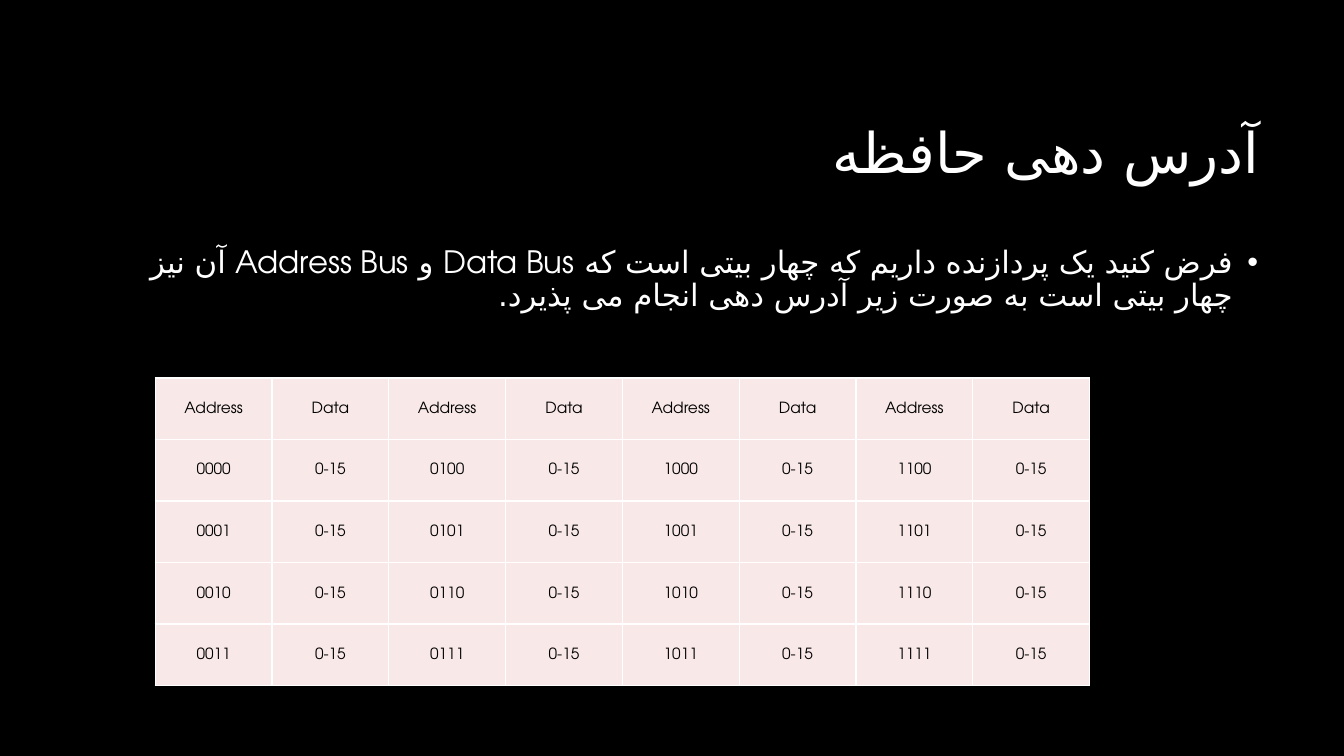
from dataclasses import dataclass
from typing import Any

from lxml import etree
from pptx import Presentation
from pptx import util as u
from pptx.dml.color import RGBColor
from pptx.enum import text
from pptx.oxml import ns

BLACK = RGBColor(0x00, 0x00, 0x00)
WHITE = RGBColor(0xFF, 0xFF, 0xFF)
PALE_PINK = RGBColor(0xF9, 0xE8, 0xE8)
FONT = "TeX Gyre Adventor"
PERSIAN_FONT = "DejaVu Sans"

ADDRESS_BITS = 4
GROUPS = 4
ADDRESSES_PER_GROUP = 2 ** ADDRESS_BITS // GROUPS
COLUMN_WIDTH = u.Pt(83.43)
ROW_HEIGHT = u.Pt(43.95)
CELL_FORMAT = {
    "vertical_anchor": text.MSO_ANCHOR.MIDDLE,
    "margin_left": u.Pt(0.72),
    "margin_right": u.Pt(0.72),
    "margin_top": u.Pt(0.72),
    "margin_bottom": u.Pt(0),
}


@dataclass(frozen=True)
class TextBlock:
    wording: str
    left: float
    top: float
    width: float
    height: float
    size: float
    anchor: text.MSO_ANCHOR
    space_before: float = 0
    bulleted: bool = False


TEXT_BLOCKS = [
    TextBlock("آدرس دهی حافظه", 228.24, 60.48, 678.24, 101.52, 40,
              text.MSO_ANCHOR.MIDDLE),
    TextBlock("فرض کنید یک پردازنده داریم که چهار بیتی است که Data Bus و "
              "Address Bus آن نیز چهار بیتی است به صورت زیر آدرس دهی انجام "
              "می پذیرد.", 54, 172.8, 851.76, 316.8, 22,
              text.MSO_ANCHOR.TOP, space_before=10, bulleted=True),
]


def apply_format(target: Any, values: dict[str, Any]) -> None:
    for attribute, value in values.items():
        setattr(target, attribute, value)


def write_run(paragraph: Any, wording: str, size: float, color: RGBColor) -> None:
    run = paragraph.add_run()
    run.text = wording
    apply_format(run.font, {"name": FONT, "size": u.Pt(size)})
    run.font.color.rgb = color
    # Persian letters take their typeface from the complex-script font
    etree.SubElement(run.font._element, ns.qn("a:cs"), typeface=PERSIAN_FONT)


def make_rtl_bullet(paragraph: Any) -> None:
    properties = paragraph._p.get_or_add_pPr()
    hanging = u.Pt(18)
    for name, value in {"marL": hanging, "indent": -hanging, "rtl": 1}.items():
        properties.set(name, str(int(value)))
    etree.SubElement(properties, ns.qn("a:buFont"), typeface="Arial")
    etree.SubElement(properties, ns.qn("a:buChar"), char="•")


def draw_text(slide: Any, block: TextBlock) -> None:
    box = slide.shapes.add_textbox(u.Pt(block.left), u.Pt(block.top),
                                   u.Pt(block.width), u.Pt(block.height))
    apply_format(box.text_frame, {"word_wrap": True,
                                  "vertical_anchor": block.anchor})
    paragraph = box.text_frame.paragraphs[0]
    apply_format(paragraph, {"alignment": text.PP_ALIGN.RIGHT,
                             "line_spacing": 0.9,
                             "space_before": u.Pt(block.space_before)})
    if block.bulleted:
        make_rtl_bullet(paragraph)
    write_run(paragraph, block.wording, block.size, WHITE)


def add_borders(cell: Any) -> None:
    properties = cell._tc.get_or_add_tcPr()
    for side in ("lnL", "lnR", "lnT", "lnB"):
        line = etree.SubElement(properties, ns.qn(f"a:{side}"), w=str(u.Pt(1)))
        fill = etree.SubElement(line, ns.qn("a:solidFill"))
        etree.SubElement(fill, ns.qn("a:srgbClr"), val=str(WHITE))


def draw_cell(cell: Any, wording: str) -> None:
    apply_format(cell, CELL_FORMAT)
    add_borders(cell)
    cell.fill.solid()
    cell.fill.fore_color.rgb = PALE_PINK
    paragraph = cell.text_frame.paragraphs[0]
    paragraph.alignment = text.PP_ALIGN.CENTER
    write_run(paragraph, wording, 11, BLACK)


def memory_rows() -> list[list[str]]:
    """Header plus one row per offset, with an address and data pair per group."""
    rows = [["Address", "Data"] * GROUPS]
    for offset in range(ADDRESSES_PER_GROUP):
        row = []
        for group in range(GROUPS):
            address = group * ADDRESSES_PER_GROUP + offset
            row += [f"{address:0{ADDRESS_BITS}b}", "0-15"]
        rows.append(row)
    return rows


def draw_memory_table(slide: Any) -> None:
    rows = memory_rows()
    column_count = len(rows[0])
    memory = slide.shapes.add_table(
        len(rows), column_count, u.Pt(110.88), u.Pt(270),
        COLUMN_WIDTH * column_count, ROW_HEIGHT * len(rows)).table
    apply_format(memory, {"first_row": False, "horz_banding": False})
    for column in memory.columns:
        column.width = COLUMN_WIDTH
    for row_index, row in enumerate(rows):
        memory.rows[row_index].height = ROW_HEIGHT
        for column_index, wording in enumerate(row):
            draw_cell(memory.cell(row_index, column_index), wording)


def main() -> None:
    presentation = Presentation()
    apply_format(presentation, {"slide_width": u.Pt(960),
                                "slide_height": u.Pt(540)})
    slide = presentation.slides.add_slide(presentation.slide_layouts[6])
    slide.background.fill.solid()
    slide.background.fill.fore_color.rgb = BLACK
    for block in TEXT_BLOCKS:
        draw_text(slide, block)
    draw_memory_table(slide)
    presentation.save("out.pptx")


if __name__ == "__main__":
    main()
